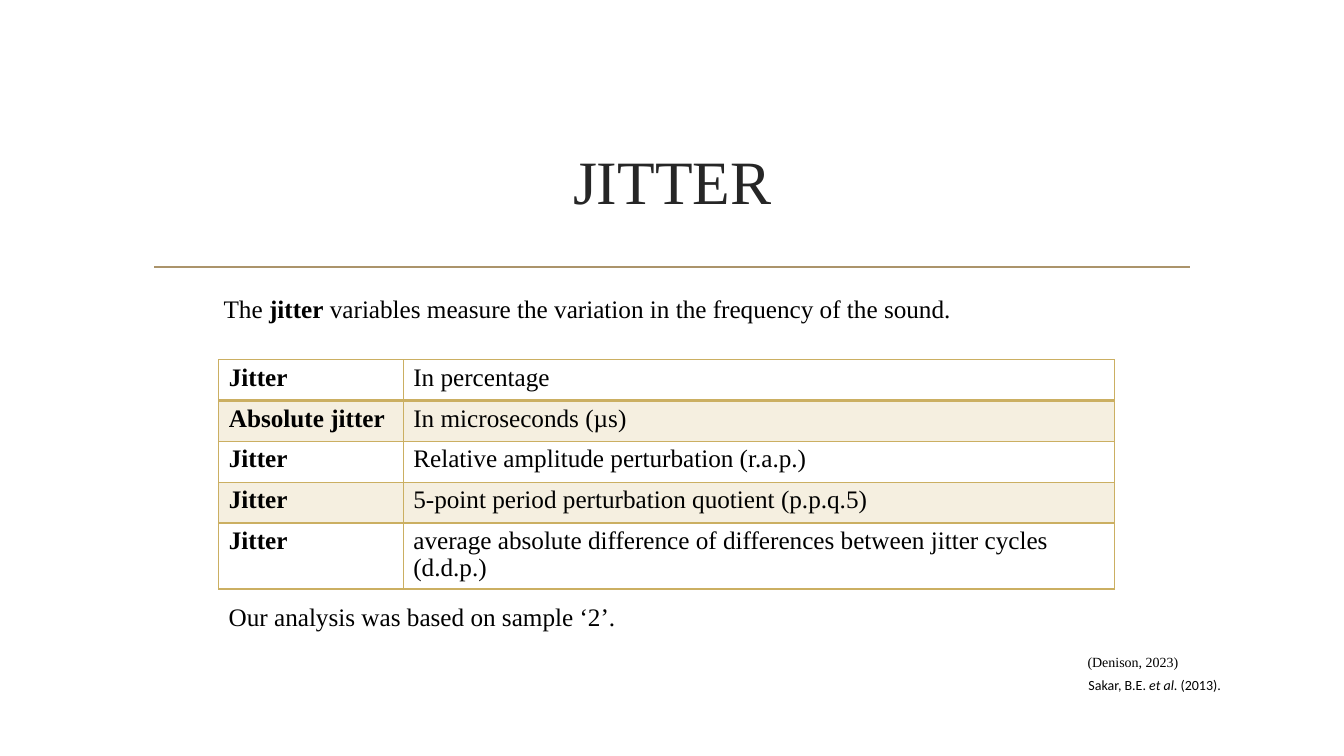
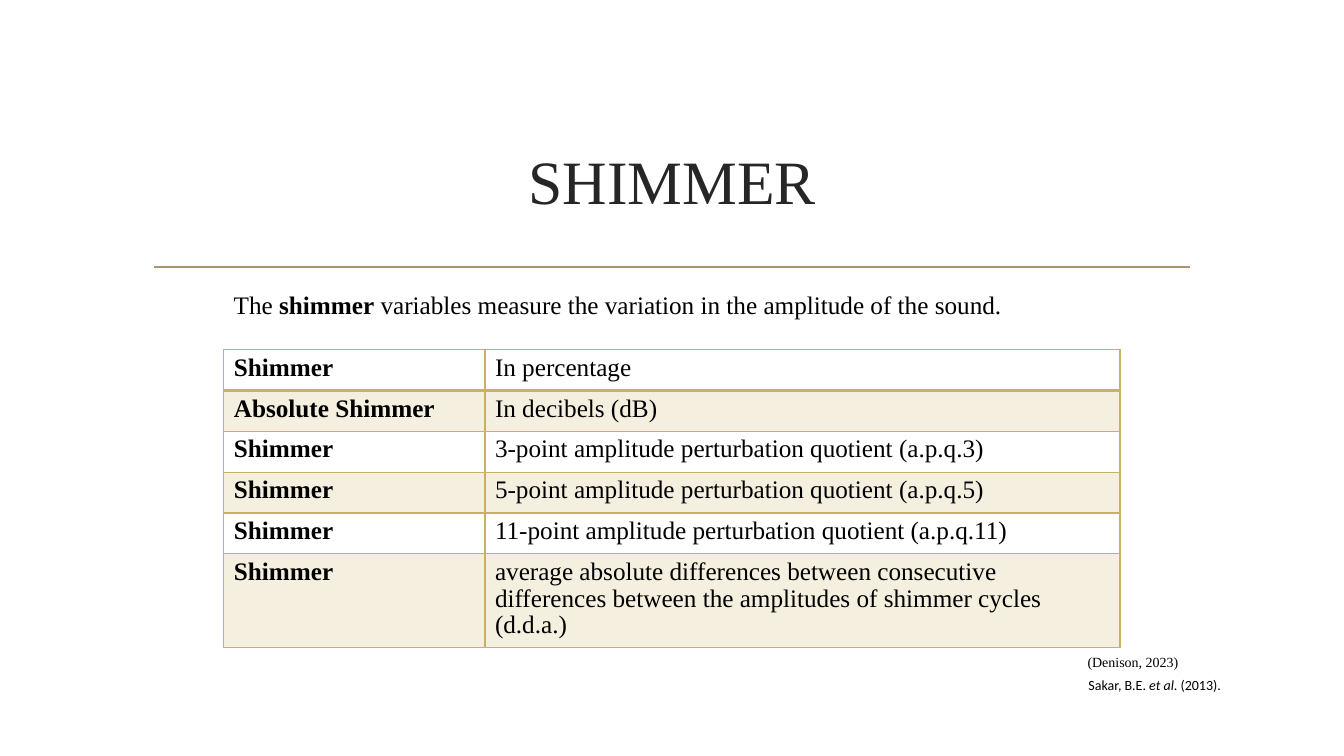
from dataclasses import dataclass

from lxml import etree
from pptx import Presentation
from pptx import util as u
from pptx.dml.color import RGBColor
from pptx.enum import shapes, text
from pptx.oxml import ns

WIDE, HIGH = u.Inches(13.333), u.Inches(7.5)
INK = RGBColor(0x00, 0x00, 0x00)
DARK = RGBColor(0x26, 0x26, 0x26)
RULE = RGBColor(0xAB, 0x94, 0x6B)
GOLD = RGBColor(0xCB, 0xAF, 0x62)
BAND = RGBColor(0xF5, 0xEF, 0xE0)
SERIF, SANS = "Times New Roman", "Calibri"
ROW = 5.4


@dataclass(frozen=True)
class Run:
    text: str
    bold: bool = False
    slant: bool = False


@dataclass(frozen=True)
class Box:
    left: float
    top: float
    wide: float
    high: float


@dataclass(frozen=True)
class Note:
    box: Box
    runs: tuple[Run, ...]
    size: float = 18
    font: str = SERIF
    align: text.PP_ALIGN = text.PP_ALIGN.LEFT


@dataclass(frozen=True)
class Grid:
    left: float
    top: float
    cols: tuple[float, float]
    last: float
    rows: tuple[tuple[str, str], ...]


@dataclass(frozen=True)
class Page:
    title: str
    grid: Grid
    notes: tuple[Note, ...]


TITLE = Box(10.65, 14.27, 78.75, 19.07)
CITES = (
    Note(Box(80.25, 88.8, 12.3, 3.6),
         (Run("Sakar, B.E. "), Run("et al", slant=True), Run(". (2013).")), 10, SANS),
    Note(Box(80.18, 85.73, 8.85, 3.6), (Run("(Denison, 2023)"),), 10),
)


def intro(box: Box, name: str, trait: str) -> Note:
    runs = (Run("The "), Run(name, bold=True),
            Run(f" variables measure the variation in the {trait} of the sound."))
    return Note(box, runs, align=text.PP_ALIGN.JUSTIFY)


PAGES = (
    Page("JITTER",
         Grid(16.28, 47.6, (13.73, 52.95), 8.73, (
             ("Jitter", "In percentage"),
             ("Absolute jitter", "In microseconds (µs)"),
             ("Jitter", "Relative amplitude perturbation (r.a.p.)"),
             ("Jitter", "5-point period perturbation quotient (p.p.q.5)"),
             ("Jitter", "average absolute difference of differences between "
                        "jitter cycles (d.d.p.)"))),
         (intro(Box(15.9, 38.13, 65.93, 5.33), "jitter", "frequency"),
          Note(Box(16.28, 78.93, 66.68, 5.33),
               (Run("Our analysis was based on sample ‘2’."),)))),
    Page("SHIMMER",
         Grid(16.65, 46.27, (19.43, 47.25), 12.36, (
             ("Shimmer", "In percentage"),
             ("Absolute Shimmer", "In decibels (dB)"),
             ("Shimmer", "3-point amplitude perturbation quotient (a.p.q.3)"),
             ("Shimmer", "5-point amplitude perturbation quotient (a.p.q.5)"),
             ("Shimmer", "11-point amplitude perturbation quotient (a.p.q.11)"),
             ("Shimmer", "average absolute differences between consecutive "
                         "differences between the amplitudes of shimmer cycles "
                         "(d.d.a.)"))),
         (intro(Box(16.65, 37.6, 66.68, 5.33), "shimmer", "amplitude"),)),
)


def across(share: float) -> int:
    return round(WIDE * share / 100)


def down(share: float) -> int:
    return round(HIGH * share / 100)


def place(box: Box) -> tuple[int, int, int, int]:
    return across(box.left), down(box.top), across(box.wide), down(box.high)


def write(para, runs: tuple[Run, ...], size: float, font: str = SERIF,
          color: RGBColor = INK) -> None:
    for item in runs:
        run = para.add_run()
        run.text = item.text
        run.font.size = u.Pt(size)
        run.font.name = font
        run.font.bold = item.bold
        run.font.italic = item.slant
        run.font.color.rgb = color


def head(slide, name: str) -> None:
    title = slide.shapes.title
    title.left, title.top, title.width, title.height = place(TITLE)
    frame = title.text_frame
    frame.vertical_anchor = text.MSO_ANCHOR.MIDDLE
    para = frame.paragraphs[0]
    para.alignment = text.PP_ALIGN.CENTER
    write(para, (Run(name),), 44, color=DARK)


def rule(slide) -> None:
    line = slide.shapes.add_connector(
        shapes.MSO_CONNECTOR.STRAIGHT,
        across(11.48), down(35.33), across(88.58), down(35.33))
    line.line.color.rgb = RULE
    line.line.width = u.Pt(1.25)
    etree.SubElement(line._element.spPr, ns.qn("a:effectLst"))


def label(slide, note: Note) -> None:
    frame = slide.shapes.add_textbox(*place(note.box)).text_frame
    frame.word_wrap = True
    para = frame.paragraphs[0]
    para.alignment = note.align
    write(para, note.runs, note.size, note.font)


def edge(cell, first: bool, second: bool) -> None:
    props = cell._tc.get_or_add_tcPr()
    widths = {"L": 1, "R": 1, "T": 2 if second else 1, "B": 2 if first else 1}
    for spot, (side, width) in enumerate(widths.items()):
        line = etree.Element(ns.qn(f"a:ln{side}"), w=str(u.Pt(width)))
        fill = etree.SubElement(line, ns.qn("a:solidFill"))
        etree.SubElement(fill, ns.qn("a:srgbClr"), val=str(GOLD))
        props.insert(spot, line)


def table(slide, grid: Grid) -> None:
    count = len(grid.rows)
    high = ROW * (count - 1) + grid.last
    box = Box(grid.left, grid.top, sum(grid.cols), high)
    body = slide.shapes.add_table(count, len(grid.cols), *place(box)).table
    body.first_row = body.horz_banding = False
    for col, wide in zip(body.columns, grid.cols):
        col.width = across(wide)
    for r, words in enumerate(grid.rows):
        body.rows[r].height = down(grid.last if r == count - 1 else ROW)
        for c, word in enumerate(words):
            cell = body.cell(r, c)
            if r % 2:
                cell.fill.solid()
                cell.fill.fore_color.rgb = BAND
            else:
                cell.fill.background()
            edge(cell, r == 0, r == 1)
            para = cell.text_frame.paragraphs[0]
            para.line_spacing = 0.96
            write(para, (Run(word, bold=c == 0),), 18)


def main() -> None:
    deck = Presentation()
    deck.slide_width, deck.slide_height = WIDE, HIGH
    for page in PAGES:
        slide = deck.slides.add_slide(deck.slide_layouts[5])
        rule(slide)
        head(slide, page.title)
        table(slide, page.grid)
        for note in page.notes + CITES:
            label(slide, note)
    deck.save("out.pptx")


if __name__ == "__main__":
    main()
